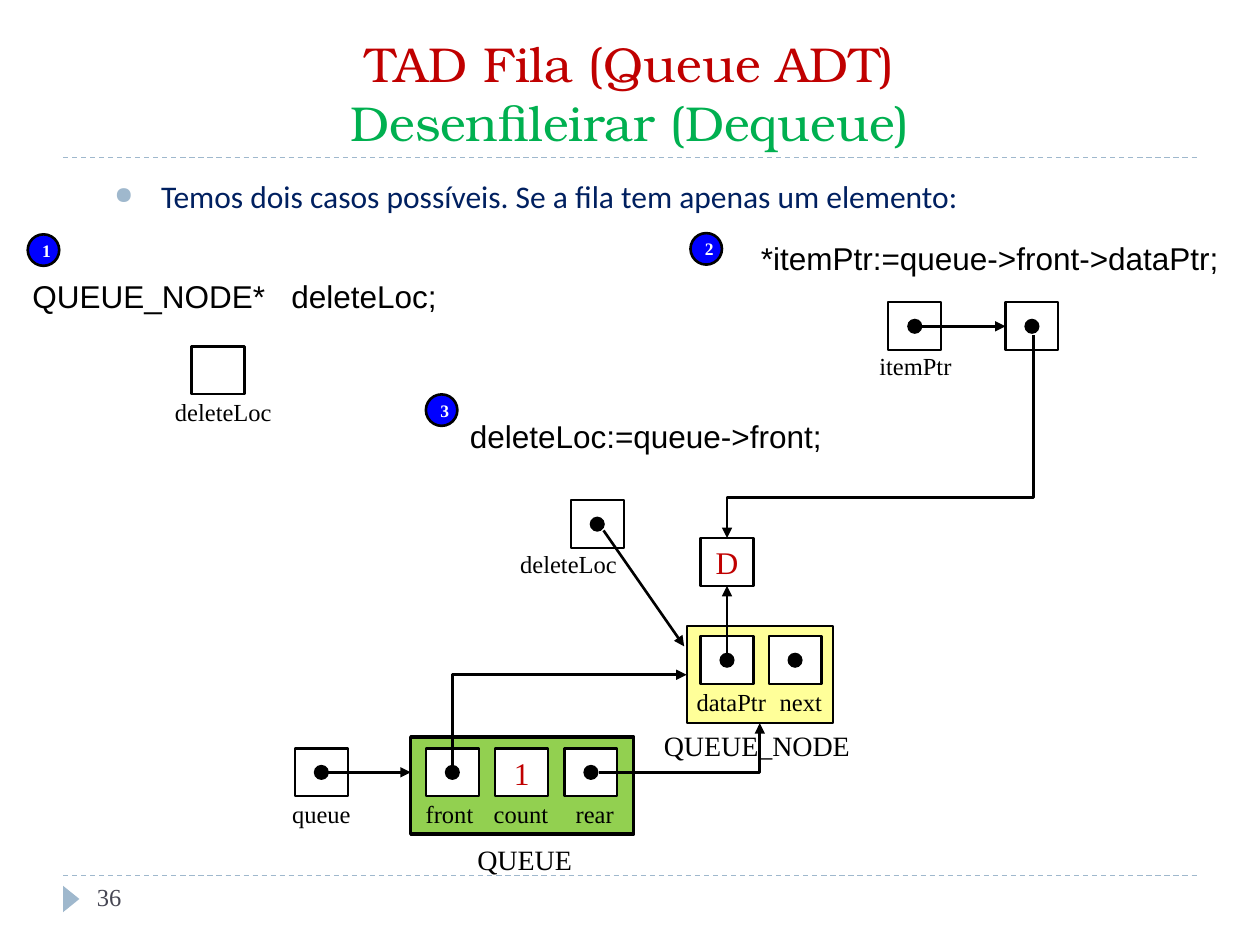
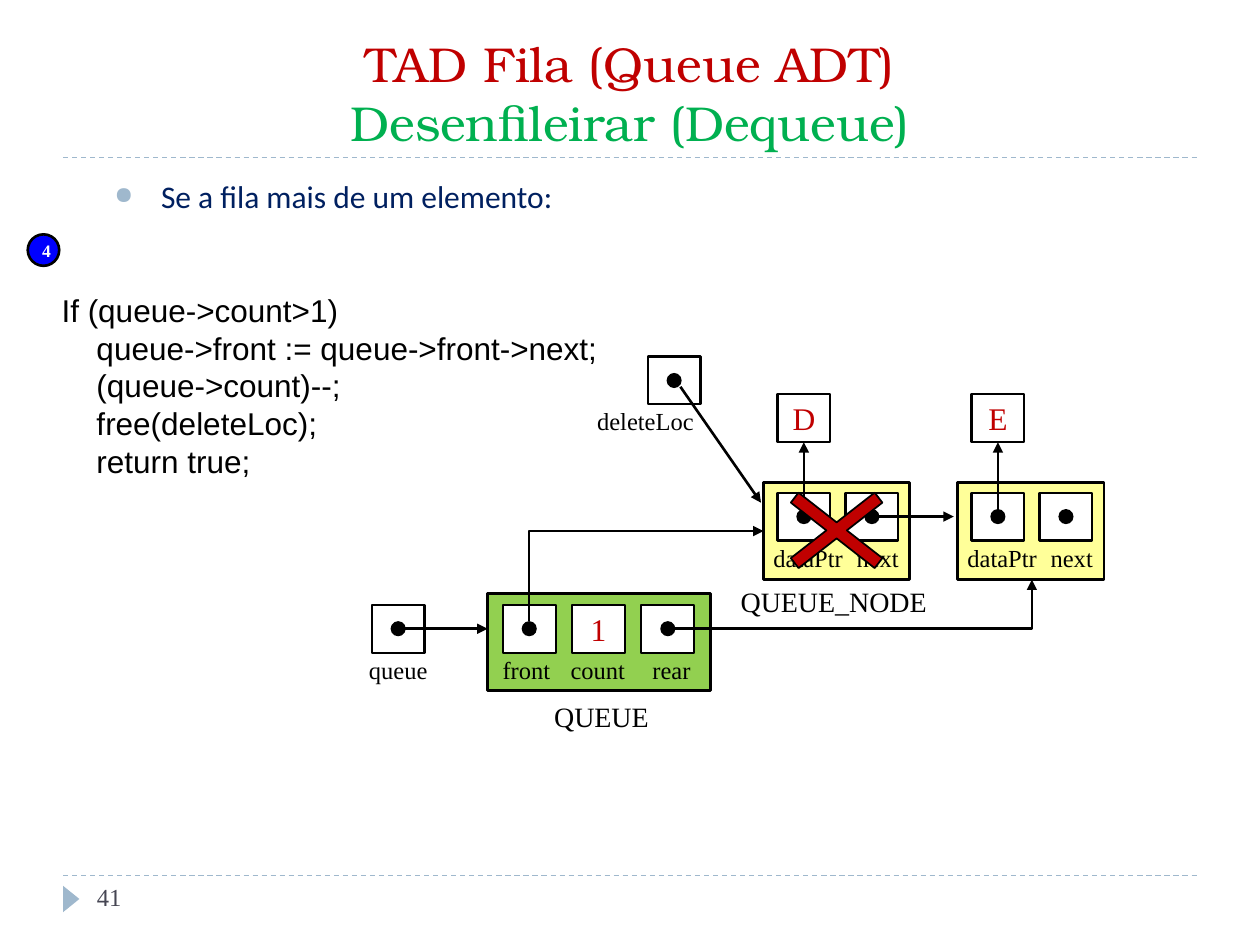
from lxml.etree import SubElement
from pptx import Presentation
from pptx.dml.color import RGBColor
from pptx.enum.dml import MSO_LINE
from pptx.enum.shapes import MSO_CONNECTOR, MSO_SHAPE
from pptx.enum.text import MSO_ANCHOR, PP_ALIGN
from pptx.oxml.ns import qn
from pptx.util import Inches, Pt

BLACK, WHITE, RED, GREEN = "000000", "FFFFFF", "C00000", "00B050"
STEEL, NAVY, BLUE, GREY = "9FB8CD", "002060", "0000FF", "464653"
QUEUE_FILL, NODE_FILL = "92D050", "FFFF99"
SERIF, SANS, BODY, TITLE = "Times New Roman", "Arial", "Calibri", "TeX Gyre Bonum"
CELL_W, CELL_H, DOT = 0.42, 0.38, 0.12
NODE_W, NODE_H = 1.16, 0.77


def color(value):
    return RGBColor.from_string(value)


class Painter:
    """Holds the deck, the style and the slide being drawn."""

    def __init__(self):
        self.deck = Presentation()
        self.deck.slide_width, self.deck.slide_height = Inches(10), Inches(7.5)
        self.page = None

    # Text
    def add_span(self, para, text, size, font, hue, bold=False):
        span = para.add_run()
        span.text = text
        span.font.size, span.font.name, span.font.bold = Pt(size), font, bold
        span.font.color.rgb = color(hue)

    def box(self, left, top, width, height):
        box = self.page.shapes.add_textbox(*map(Inches, (left, top, width, height)))
        box.text_frame.word_wrap = True
        box.text_frame.margin_right = 0
        return box.text_frame

    def label(self, text, left, top, width, size=14, font=SERIF, hue=BLACK):
        lines = text.split("\n")
        frame = self.box(left, top, width, 0.04 + size * len(lines) / 50)
        for index, line in enumerate(lines):
            para = frame.add_paragraph() if index else frame.paragraphs[0]
            self.add_span(para, line, size, font, hue)

    def code(self, text, left, top, width):
        self.label(text, left, top, width, 18, SANS)

    def title(self, first, second):
        frame = self.box(0.5, 0.25, 9, 1)
        frame.margin_right = Inches(0.1)
        frame.vertical_anchor = MSO_ANCHOR.BOTTOM
        para = frame.paragraphs[0]
        para.alignment = PP_ALIGN.CENTER
        self.add_span(para, first, 28, TITLE, RED)
        para.add_line_break()
        self.add_span(para, second, 28, TITLE, GREEN)

    def bullet(self, text):
        para = self.box(0.81, 1.36, 8.5, 0.44).paragraphs[0]
        para.alignment = PP_ALIGN.JUSTIFY
        props = para._p.get_or_add_pPr()
        props.set("marL", str(Inches(0.37)))
        props.set("indent", str(-Inches(0.37)))
        SubElement(SubElement(props, qn("a:buClr")), qn("a:srgbClr")).set("val", STEEL)
        SubElement(props, qn("a:buSzPct")).set("val", "76000")
        SubElement(props, qn("a:buChar")).set("char", "●")
        self.add_span(para, text, 18, BODY, NAVY)

    # Shapes
    def shape(self, kind, left, top, width, height, fill, line=None):
        shape = self.page.shapes.add_shape(kind, *map(Inches, (left, top, width, height)))
        shape.shadow.inherit = False
        shape.fill.solid()
        shape.fill.fore_color.rgb = color(fill)
        if line:
            shape.line.color.rgb = color(BLACK)
            shape.line.width = Pt(line)
        else:
            shape.line.fill.background()
        return shape

    def center(self, shape, text, size, hue, bold=False):
        shape.text_frame.vertical_anchor = MSO_ANCHOR.MIDDLE
        para = shape.text_frame.paragraphs[0]
        para.alignment = PP_ALIGN.CENTER
        self.add_span(para, text, size, SERIF, hue, bold)

    def cell(self, left, top, value=None):
        cell = self.shape(MSO_SHAPE.RECTANGLE, left, top, CELL_W, CELL_H, WHITE, 1.25)
        if value:
            self.center(cell, value, 18, RED)
        return cell

    def pointer(self, left, top):
        cell = self.cell(left, top)
        self.shape(MSO_SHAPE.OVAL, left + (CELL_W - DOT) / 2, top + (CELL_H - DOT) / 2,
                   DOT, DOT, BLACK)
        return cell

    def step(self, number, left, top):
        badge = self.shape(MSO_SHAPE.OVAL, left, top, 0.25, 0.25, BLUE, 1.5)
        self.center(badge, number, 10, WHITE, True)

    # Lines
    def line(self, start, end, hue=BLACK, width=1.5, kind=MSO_CONNECTOR.STRAIGHT):
        line = self.page.shapes.add_connector(kind, *map(Inches, (*start, *end)))
        line.line.color.rgb = color(hue)
        line.line.width = Pt(width)
        SubElement(line._element.spPr, qn("a:effectLst"))
        return line

    def add_head(self, line):
        stroke = line._element.spPr.find(qn("a:ln"))
        SubElement(stroke, qn("a:tailEnd")).set("type", "triangle")

    def arrow(self, start, end, target=None, side=0):
        line = self.line(start, end)
        self.add_head(line)
        if target is not None:
            line.end_connect(target, side)

    def elbow(self, start, end, upright=False, bend=None):
        """Bent arrow; upright ones leave vertically, bend places a second turn."""
        (x1, y1), (x2, y2) = start, end
        if upright:  # a turned frame has its sides swapped about the same middle
            mid_x, mid_y = (x1 + x2) / 2, (y1 + y2) / 2
            half_w, half_h = abs(y2 - y1) / 2, abs(x2 - x1) / 2
            start = mid_x - half_w, mid_y - half_h
            end = mid_x + half_w, mid_y + half_h
        line = self.line(start, end, kind=MSO_CONNECTOR.ELBOW)
        self.add_head(line)
        props = line._element.spPr
        if upright:
            turn = 90 if y2 > y1 else 270
            props.find(qn("a:xfrm")).set("rot", str(turn * 60000))
        outline = props.find(qn("a:prstGeom"))
        if bend is None:
            outline.set("prst", "bentConnector2")
        else:
            guide = SubElement(outline.find(qn("a:avLst")), qn("a:gd"))
            guide.set("name", "adj1")
            guide.set("fmla", f"val {round(bend * 100000)}")

    # Slide frame
    def new_page(self, number, topic):
        self.page = self.deck.slides.add_slide(self.deck.slide_layouts[6])
        for y in (6.95, 1.25):
            self.line((0.5, y), (9.5, y), STEEL, 0.75).line.dash_style = MSO_LINE.DASH
        marker = self.shape(MSO_SHAPE.ISOSCELES_TRIANGLE, 0.46, 7.07, 0.21, 0.13, STEEL)
        marker.rotation = 90
        self.title("TAD Fila (Queue ADT)", "Desenfileirar (Dequeue)")
        self.label(number, 0.67, 6.95, 2.17, hue=GREY)
        self.bullet(topic)

    # Diagram parts
    def node(self, left, top, value):
        self.shape(MSO_SHAPE.RECTANGLE, left, top, NODE_W, NODE_H, NODE_FILL, 1.25)
        for name, x, label_x, width in (("dataPtr", 0.11, -0.02, 0.76),
                                        ("next", 0.65, 0.64, 0.54)):
            self.pointer(left + x, top + 0.08)
            self.label(name, left + label_x, top + 0.43, width)
        data = self.cell(left + 0.11, top - 0.7, value)
        x = left + 0.11 + CELL_W / 2
        self.arrow((x, top + 0.26), (x, top - 0.32), data, 2)

    def queue(self, left, top, rear_x):
        """Queue header at left, top, with its first node and deleteLoc."""
        node_x, node_y = left + 2.19, top - 0.88
        row, names = top + 0.09, top + 0.44
        middle = row + CELL_H / 2
        self.label("QUEUE_NODE", left + 1.91, top - 0.12, 1.69, 16)
        self.label("QUEUE", left + 0.43, top + 0.79, 0.96, 16)
        self.shape(MSO_SHAPE.RECTANGLE, left, top, 1.77, 0.77, QUEUE_FILL, 2)
        for name, x, label_x, width in (("queue", -0.92, -1.04, 0.67),
                                        ("front", 0.12, 0.02, 0.58),
                                        ("count", 0.67, 0.56, 0.64),
                                        ("rear", 1.22, 1.21, 0.51)):
            if name == "count":
                self.cell(left + x, row, "1")
            else:
                self.pointer(left + x, row)
            self.label(name, left + label_x, names, width)
        self.arrow((left - 0.71, middle), (left, middle))
        self.elbow((left + 0.33, middle - 0.06), (node_x, node_y + NODE_H / 2), upright=True)
        self.elbow((left + 1.49, middle), (rear_x, node_y + NODE_H))
        self.node(node_x, node_y, "D")
        self.pointer(left + 1.27, top - 1.88)
        self.label("deleteLoc", left + 0.77, top - 1.54, 0.98)
        self.arrow((left + 1.53, top - 1.64), (node_x - 0.02, top - 0.72))


def one_element(art):
    art.new_page("36", "Temos dois casos possíveis. Se a fila tem apenas um elemento:")
    art.queue(3.26, 5.85, 6.03)

    # Step 1: declare the pointer
    art.step("1", 0.22, 1.86)
    art.code("QUEUE_NODE*   deleteLoc;", 0.16, 2.15, 3.47)
    art.cell(1.52, 2.75)
    art.label("deleteLoc", 1.29, 3.1, 0.98)

    # Step 2: hand over the data
    art.step("2", 5.48, 1.85)
    art.code("*itemPtr:=queue->front->dataPtr;", 5.94, 1.85, 3.92)
    art.pointer(7.05, 2.4)
    art.label("itemPtr", 6.88, 2.74, 0.78)
    item = art.pointer(7.98, 2.4)
    art.arrow((7.27, 2.59), (7.98, 2.59), item, 1)
    art.elbow((8.2, 2.66), (5.77, 4.27), upright=True, bend=0.8)

    # Step 3: point at the front node
    art.step("3", 3.38, 3.13)
    art.code("deleteLoc:=queue->front;", 3.63, 3.26, 3.02)


def several_elements(art):
    art.new_page("41", "Se a fila mais de um elemento:")
    art.queue(3.87, 4.71, 8.19)
    art.node(7.6, 3.83, "E")
    art.arrow((6.95, 4.1), (7.57, 4.1))

    # Step 4: unlink and free the front node
    art.step("4", 0.22, 1.86)
    art.code("If (queue->count>1)\n"
             "    queue->front := queue->front->next;\n"
             "    (queue->count)--;\n"
             "    free(deleteLoc);\n"
             "    return true;", 0.39, 2.26, 4.49)
    cross = art.shape(MSO_SHAPE.MATH_MULTIPLY, 6, 3.71, 1.28, 1, RED, 1)
    cross.adjustments[0] = 0.1


def main():
    art = Painter()
    one_element(art)
    several_elements(art)
    art.deck.save("out.pptx")


if __name__ == "__main__":
    main()
